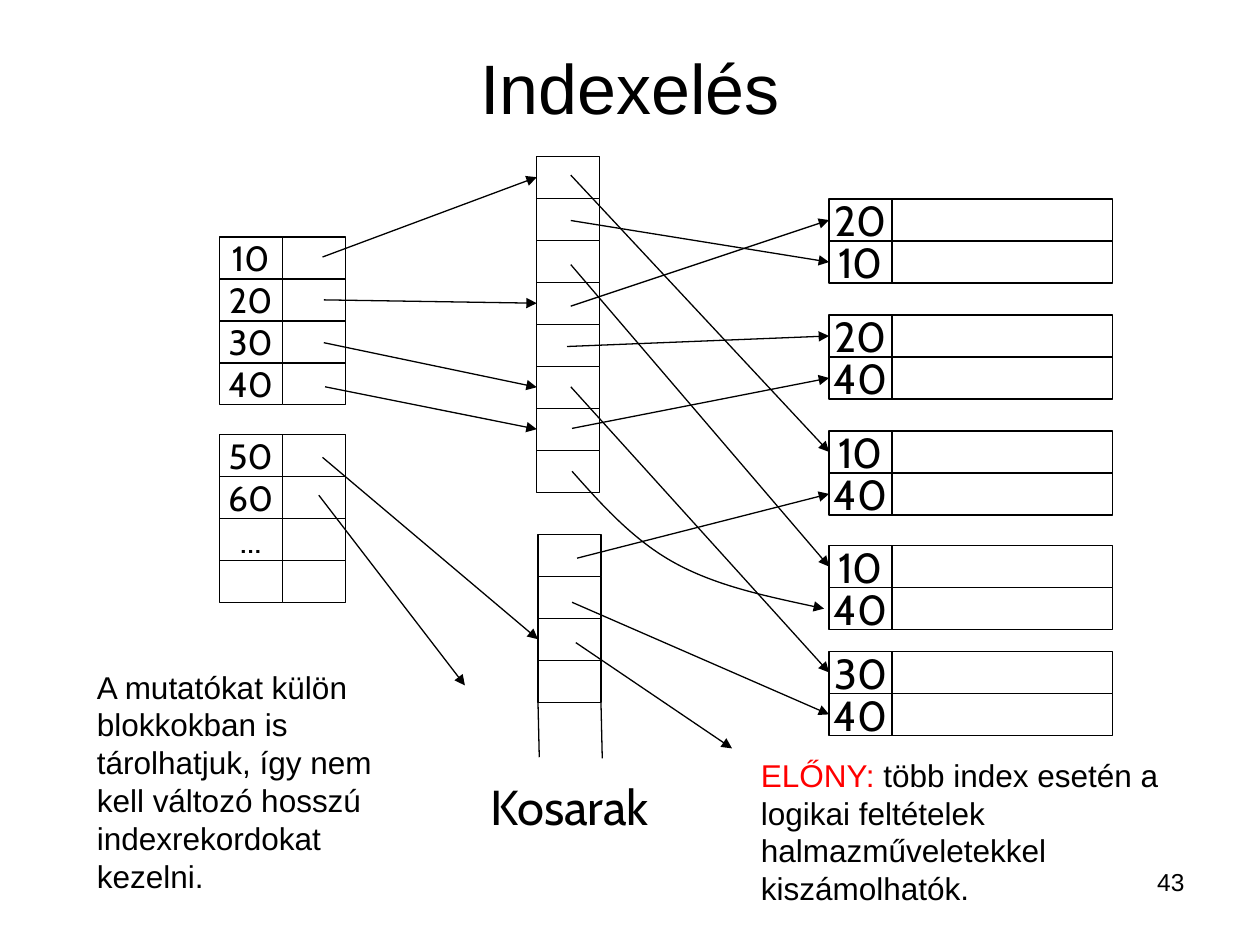
from lxml.etree import SubElement as Sub
from pptx import Presentation
from pptx.dml.color import RGBColor as Rgb
from pptx.enum.shapes import MSO_CONNECTOR as Link, MSO_SHAPE as Kind
from pptx.enum.text import MSO_ANCHOR as Anchor, MSO_AUTO_SIZE as Fit, PP_ALIGN as Align
from pptx.oxml.ns import qn
from pptx.util import Inches, Pt

theme = {
    "ink": Rgb(0, 0, 0), "paper": Rgb(255, 255, 255), "red": Rgb(255, 0, 0),
    "sans": "Arial", "hand": "Cabin", "line": Pt(0.75),
    "title": Pt(40), "label": Pt(28), "data": Pt(24),
    "key": Pt(20), "note": Pt(18), "page": Pt(14),
}
col, row = 0.5, 1 / 3  # cell size in inches

deck = Presentation()
deck.slide_width, deck.slide_height = Inches(10), Inches(7.5)
slide = deck.slides.add_slide(deck.slide_layouts[5])
shapes = slide.shapes


def write(shape, text, size, font, align=Align.CENTER, anchor=Anchor.MIDDLE, wrap=False):
    frame = shape.text_frame
    frame.text = text
    frame.word_wrap, frame.vertical_anchor = wrap, anchor
    frame.auto_size = Fit.NONE
    para = frame.paragraphs[0]
    para.alignment = align
    for run in para.runs:
        run.font.size, run.font.name = theme[size], theme[font]
        run.font.color.rgb = theme["ink"]
    return para


def block(left, top, keys, widths, size="key"):
    """Draw a grouped grid of cells and return its first column."""
    group, first = shapes.add_group_shape(), []
    for i, key in enumerate(keys):
        x = left
        for j, width in enumerate(widths):
            cell = group.shapes.add_shape(Kind.RECTANGLE, Inches(x), Inches(top + i * row),
                                          Inches(width), Inches(row))
            cell.shadow.inherit = False
            cell.fill.solid()
            cell.fill.fore_color.rgb = theme["paper"]
            cell.line.color.rgb, cell.line.width = theme["ink"], theme["line"]
            if j == 0:
                first.append(cell)
                if key:
                    write(cell, key, size, "hand")
            x += width
    return first


# Title
title = shapes.title
title.left, title.top, title.width, title.height = (Inches(n) for n in (0.5, 0.3, 9, 0.77))
write(title, "Indexelés", "title", "sans", wrap=True)

# Data records, index blocks and buckets
data = []
tops = (1.58, 2.5, 3.42, 4.33, 5.17)
pairs = (("20", "10"), ("20", "40"), ("10", "40"), ("10", "40"), ("30", "40"))
for top, pair in zip(tops, pairs):
    data += block(6.58, top, pair, (col, 3.5 * col), "data")
block(1.74, 1.88, ("10", "20", "30", "40"), (col, col))
block(1.74, 3.45, ("50", "60", "...", ""), (col, col))
upper = block(4.26, 1.24, [""] * 8, (col,))
lower = block(4.27, 4.24, [""] * 4, (col,))

# Pointers: start, then a cell or a free end point
links = [
    (2.56, 2.04, upper[0]), (2.57, 2.38, upper[3]), (2.57, 2.72, upper[5]),
    (2.58, 3.07, upper[6]), (2.56, 3.63, lower[2]), (2.53, 3.93, (3.69, 5.44)),
    (4.53, 1.39, data[4]), (4.53, 1.75, data[1]), (4.53, 2.1, data[6]),
    (4.53, 2.43, data[0]), (4.5, 2.75, data[2]), (4.53, 3.07, data[8]),
    (4.54, 3.4, data[3]), (4.58, 4.43, data[5]), (4.54, 4.78, data[9]),
    (4.57, 5.1, (5.81, 5.94)),
]
# Open sides of the lower bucket, without heads
sides = [(4.27, 5.57, (4.28, 6.01)), (4.77, 5.58, (4.78, 6.02))]
heads = []
for x, y, goal in links + sides:
    free = isinstance(goal, tuple)
    end = [Inches(n) for n in goal] if free else (goal.left, goal.top + goal.height // 2)
    wire = shapes.add_connector(Link.STRAIGHT, Inches(x), Inches(y), *end)
    if not free:
        wire.end_connect(goal, 1)
    wire.line.color.rgb, wire.line.width = theme["ink"], theme["line"]
    Sub(wire.element.spPr, qn("a:effectLst"))
    if (x, y, goal) in links:
        heads.append(wire)

# Curved pointer in hundredths of an inch: each three points become one Bézier segment
pen = shapes.build_freeform(454, 374, scale=Inches(0.01))
pen.add_line_segments([(478, 401), (503, 429), (536, 447),
                       (569, 465), (612, 474), (654, 483)], close=False)
curve = pen.convert_to_shape()
curve.shadow.inherit = False
curve.fill.background()
curve.line.color.rgb, curve.line.width = theme["ink"], theme["line"]
steps = list(curve.element.iter(qn("a:lnTo")))
for i in range(0, len(steps), 3):
    bend = Sub(steps[i].getparent(), qn("a:cubicBezTo"))
    for step in steps[i:i + 3]:
        bend.append(step[0])
        step.getparent().remove(step)
heads.append(curve)

# Arrowheads
for wire in heads:
    Sub(wire.element.spPr.find(qn("a:ln")), qn("a:tailEnd"), type="triangle")

# Bucket label, notes and page number
left, mid, high = Align.LEFT, Anchor.MIDDLE, Anchor.TOP
texts = [
    ((3.69, 6.11, 1.66, 0.57), "Kosarak", "label", "hand", Align.CENTER, mid, False),
    ((0.67, 5.25, 2.76, 1.9), "A mutatókat külön blokkokban is tárolhatjuk, így nem kell "
     "változó hosszú indexrekordokat kezelni.", "note", "sans", left, high, True),
    ((7.17, 6.83, 2.33, 0.52), "43", "page", "sans", Align.RIGHT, high, True),
    ((5.94, 5.95, 3.62, 1.3), "ELŐNY:", "note", "sans", left, high, True),
]
for area, *style in texts:
    para = write(shapes.add_textbox(*(Inches(n) for n in area)), *style)

# The last note opens in red and goes on in black
para.runs[0].font.color.rgb = theme["red"]
rest = para.add_run()
rest.text = " több index esetén a logikai feltételek halmazműveletekkel kiszámolhatók."
rest.font.size, rest.font.name = theme["note"], theme["sans"]
rest.font.color.rgb = theme["ink"]

deck.save("out.pptx")
